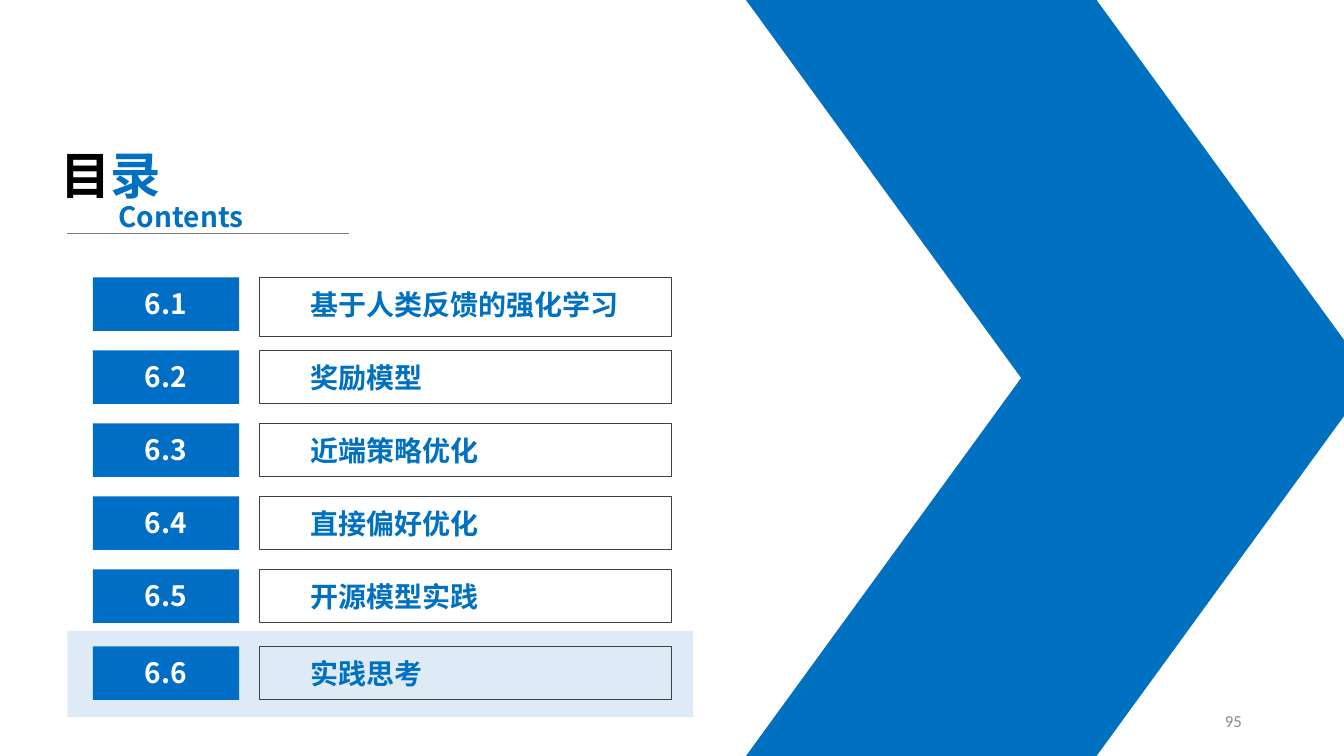
"""Build the contents slide of chapter 6 with its last section highlighted."""
from lxml.etree import SubElement
from pptx import Presentation
from pptx.dml.color import RGBColor
from pptx.enum.shapes import MSO_CONNECTOR, MSO_SHAPE as SHAPE
from pptx.enum.text import MSO_ANCHOR as ANCHOR, MSO_AUTO_SIZE, PP_ALIGN as ALIGN
from pptx.oxml.ns import qn
from pptx.util import Cm, Pt

COLORS = {"blue": "0070C0", "label": "006EC5", "highlight": "DEEBF7", "frame": "404040",
          "rule": "7F7F7F", "number": "898989", "black": "000000", "white": "FFFFFF"}
CJK = "Noto Sans CJK SC"
SECTIONS = ["基于人类反馈的强化学习", "奖励模型", "近端策略优化",
            "直接偏好优化", "开源模型实践", "实践思考"]


def add_box(kind, left, top, width, height, fill=None, line=None):
    sp = s.shapes.add_shape(kind, Cm(left), Cm(top), Cm(width), Cm(height))
    sp.shadow.inherit = False
    if fill:
        sp.fill.solid()
        sp.fill.fore_color.rgb = RGBColor.from_string(COLORS[fill])
    else:
        sp.fill.background()
    if line:
        sp.line.color.rgb = RGBColor.from_string(COLORS[line])
        sp.line.width = Pt(0.75)
    else:
        sp.line.fill.background()
    return sp


def set_text(sp, parts, size, align=ALIGN.LEFT, anchor=ANCHOR.TOP, font=CJK, bold=True):
    tf = sp.text_frame
    tf.word_wrap = True
    tf.auto_size = MSO_AUTO_SIZE.NONE
    tf.vertical_anchor = anchor
    p = tf.paragraphs[0]
    p.alignment = align
    for text, color in parts:
        r = p.add_run()
        r.text = text
        r.font.name = font
        r.font.size = Pt(size)
        r.font.bold = bold
        r.font.color.rgb = RGBColor.from_string(COLORS[color])
        SubElement(r.font._element, qn("a:ea"), typeface=font)
    return tf


prs = Presentation()
prs.slide_width, prs.slide_height = Cm(33.87), Cm(19.05)
s = prs.slides.add_slide(prs.slide_layouts[5])

title = s.shapes.title
title.left, title.top, title.width, title.height = Cm(1.27), Cm(3.5), Cm(4), Cm(1.8)
set_text(title, [("目", "black"), ("录", "blue")], 36)

subtitle = s.shapes.add_textbox(Cm(2.74), Cm(4.9), Cm(4), Cm(1.12))
set_text(subtitle, [("Contents", "blue")], 20)

rule = s.shapes.add_connector(MSO_CONNECTOR.STRAIGHT, Cm(1.7), Cm(5.88), Cm(8.79), Cm(5.88))
rule.line.color.rgb = RGBColor.from_string(COLORS["rule"])
rule.line.width = Pt(0.5)
SubElement(rule._element.spPr, qn("a:effectLst"))

half = 19.05 / 2
for top, flip in ((half, "0"), (0, "1")):
    arm = add_box(SHAPE.PARALLELOGRAM, 18.8, top, 15.77, half, fill="blue")
    arm.adjustments[0] = 0.728
    arm._element.spPr.xfrm.set("flipV", flip)

add_box(SHAPE.RECTANGLE, 1.7, 15.9, 15.77, 2.17, fill="highlight")

for i, section in enumerate(SECTIONS):
    current = i == len(SECTIONS) - 1
    top = 16.29 if current else 6.99 + 1.84 * i
    label = add_box(SHAPE.RECTANGLE, 2.34, top, 3.69, 1.35, fill="label")
    tf = set_text(label, [(f"6.{i + 1}", "white")], 20, ALIGN.CENTER)
    tf.margin_top = Cm(0.23)
    frame = add_box(SHAPE.RECTANGLE, 6.55, top, 10.37, 1.35 if i else 1.48, line="frame")
    tf = set_text(frame, [(section, "blue")], 20)
    tf.margin_left, tf.margin_top = Cm(1.27), Cm(0.26)

page = s.shapes.add_textbox(Cm(23.93), Cm(17.65), Cm(7.62), Cm(1.02))
set_text(page, [("95", "number")], 12, ALIGN.RIGHT, ANCHOR.MIDDLE, "Calibri", False)

prs.save("out.pptx")
